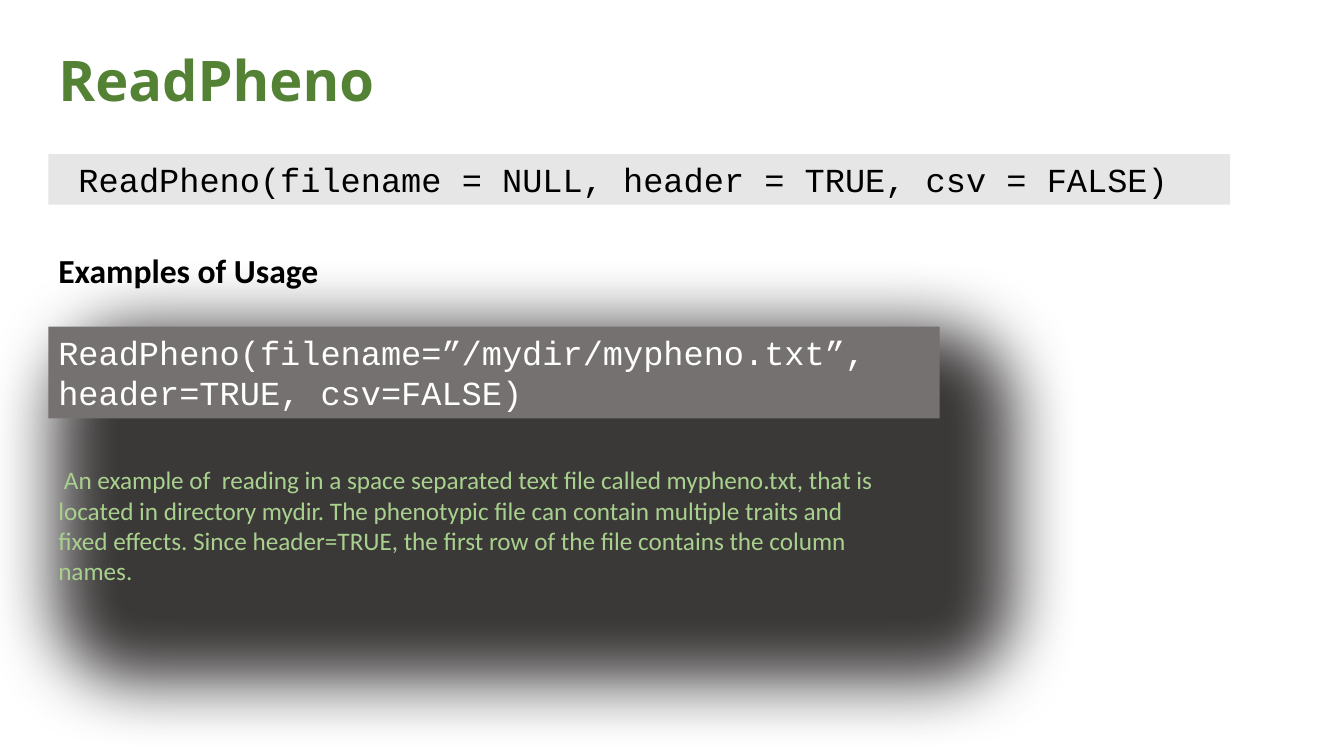
import pptx
import pptx.util
import pptx.dml.color
import pptx.enum.shapes
import pptx.enum.text
import lxml.etree

Inches = pptx.util.Inches
KINDS = pptx.enum.shapes.MSO_SHAPE

# Content
TITLE = "ReadPheno"
USAGE = [" ReadPheno(filename = NULL, header = TRUE, csv = FALSE)"]
HEAD = ["Examples of Usage"]
CODE = ["ReadPheno(filename=”/mydir/mypheno.txt”, ",
        "header=TRUE, csv=FALSE)"]
NOTE = [" An example of  reading in a space separated text file called "
        "mypheno.txt, that is located in directory mydir. The phenotypic file "
        "can contain multiple traits and fixed effects. Since header=TRUE, the "
        "first row of the file contains the column names. "]
LEFT = 0.48
MONO = "Courier New"


def color(code):
    return pptx.dml.color.RGBColor.from_string(code)


def write(shape, lines, size=24, font="Calibri", ink="000000", bold=False,
          wrap=False):
    frame = shape.text_frame
    frame.word_wrap = wrap
    frame.auto_size = pptx.enum.text.MSO_AUTO_SIZE.SHAPE_TO_FIT_TEXT
    frame.vertical_anchor = pptx.enum.text.MSO_ANCHOR.TOP
    frame.text = "\n".join(lines)
    for para in frame.paragraphs:
        para.alignment = pptx.enum.text.PP_ALIGN.LEFT
        para.font.size = pptx.util.Pt(size)
        para.font.name = font
        para.font.bold = bold
        para.font.color.rgb = color(ink)


def panel(kind, box, fill, line=None):
    shape = slide.shapes.add_shape(kind, *map(Inches, box))
    shape.shadow.inherit = False
    shape.fill.solid()
    shape.fill.fore_color.rgb = color(fill)
    if line:
        shape.line.color.rgb = color(line)
        shape.line.width = pptx.util.Pt(1)
    else:
        shape.line.fill.background()
    return shape


def label(box):
    return slide.shapes.add_textbox(*map(Inches, box))


deck = pptx.Presentation()
deck.slide_width, deck.slide_height = Inches(13.33), Inches(7.5)
slide = deck.slides.add_slide(deck.slide_layouts[5])

# Title
title = slide.shapes.title
title.left, title.top = Inches(LEFT), Inches(0.4)
title.width, title.height = Inches(3.75), Inches(0.77)
write(title, [TITLE], size=40, font="Open Sans", ink="548235", bold=True)

# Dark backdrop with soft edges
back = panel(KINDS.ROUNDED_RECTANGLE, (-0.13, 2.57, 10.85, 4.87),
             "3B3838", "325491")
effects = back._element.spPr.find(pptx.oxml.ns.qn("a:effectLst"))
soft = lxml.etree.SubElement(effects, pptx.oxml.ns.qn("a:softEdge"))
soft.set("rad", str(Inches(0.69)))

# Code bars
write(panel(KINDS.RECTANGLE, (LEFT, 3.24, 8.84, 0.91), "767171"), CODE,
      font=MONO, ink="FFFFFF", wrap=True)
write(panel(KINDS.RECTANGLE, (LEFT, 1.53, 11.72, 0.5), "E7E6E6"), USAGE,
      font=MONO)

# Heading and explanation
write(label((LEFT, 2.43, 2.82, 0.5)), HEAD, bold=True)
write(label((LEFT, 4.56, 8.47, 1.31)), NOTE, size=18, ink="A9D18E", wrap=True)

deck.save("out.pptx")
